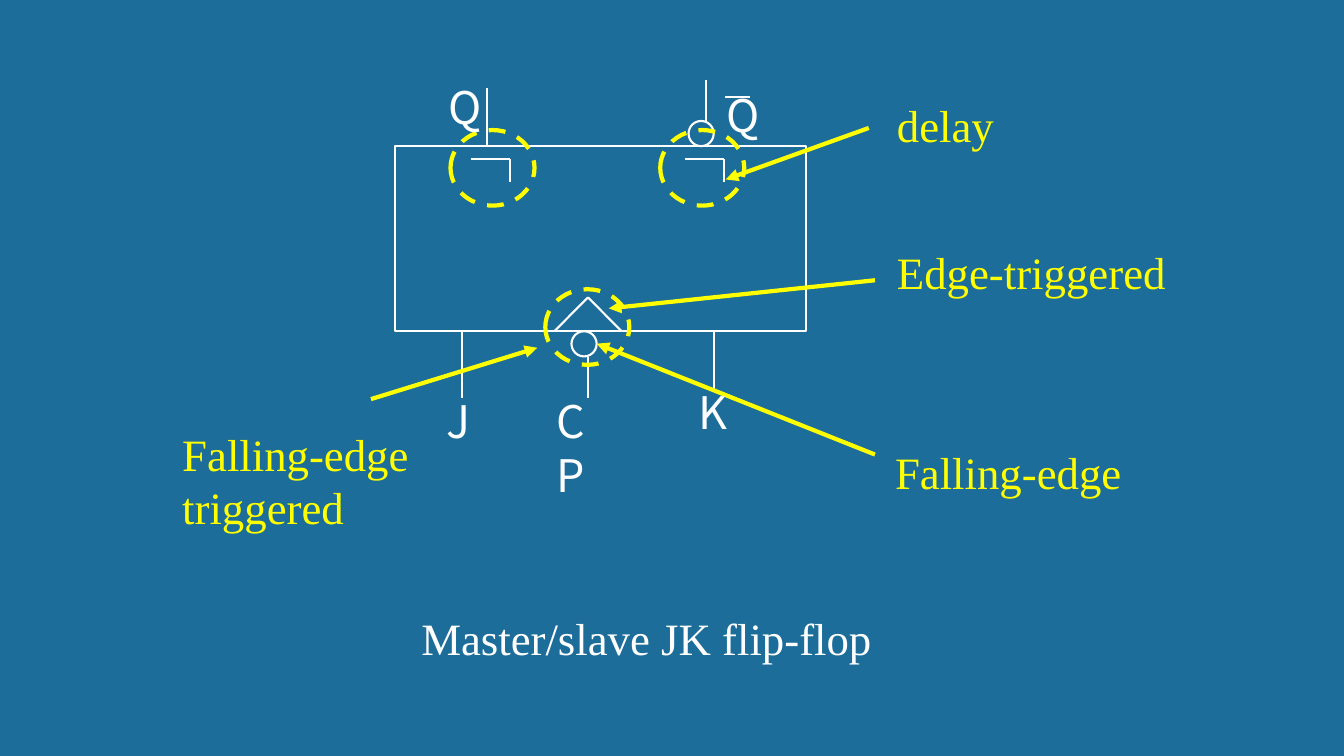
"""Draw the logic symbol of a master/slave JK flip-flop with its callouts."""
import pptx
import pptx.dml.color
import pptx.enum.dml
import pptx.enum.shapes
import pptx.util
from lxml import etree
from pptx.oxml.ns import qn

Pt = pptx.util.Pt
RGB = pptx.dml.color.RGBColor.from_string
KIND = pptx.enum.shapes.MSO_SHAPE
theme = {
    "back": RGB("1C6D9A"), "ink": RGB("FFFFFF"), "note": RGB("FFFF00"),
    "sans": "Noto Sans CJK SC", "serif": "Times New Roman",
    "size": Pt(32), "pitch": Pt(38.5), "inset": Pt(5.6),
    "thin": Pt(1.5), "thick": Pt(3),
}

deck = pptx.Presentation()
deck.slide_width, deck.slide_height = Pt(960), Pt(540)
slide = deck.slides.add_slide(deck.slide_layouts[6])
slide.background.fill.solid()
slide.background.fill.fore_color.rgb = theme["back"]


def outline(kind, box, color, width):
    shape = slide.shapes.add_shape(kind, *map(Pt, box))
    shape.shadow.inherit = False
    shape.fill.background()
    shape.line.color.rgb = color
    shape.line.width = width
    return shape


def wire(ends, color, width):
    line = slide.shapes.add_connector(
        pptx.enum.shapes.MSO_CONNECTOR.STRAIGHT, *map(Pt, ends))
    line.line.color.rgb = color
    line.line.width = width
    etree.SubElement(line._element.spPr, qn("a:effectLst"))
    return line


top, base = 104.4, 236.6
outline(KIND.RECTANGLE, (282, top, 294, base - top), theme["ink"], theme["thin"])

pins = [
    (330, base, 330, 284.4), (420, 254.9, 420, 284.4), (510, base, 510, 278.6),
    (348, top, 348, 62.6), (504, 86.4, 504, 56.9),
]
clock = [(396, base, 420, 212.4), (420, 212.4, 444, base)]
bar = [(517.7, 69.1, 535.7, 69.1)]
delays = []
for left in (336.2, 489.2):
    right = left + 28.2
    delays += [(left, 113.8, right, 113.8), (right, 113.8, right, 130.3)]
for ends in pins + clock + bar + delays:
    wire(ends, theme["ink"], theme["thin"])

for left, y in [(491.8, 86.4), (408.2, base)]:
    outline(KIND.OVAL, (left, y, 18, 18), theme["ink"], theme["thin"])

for left, y in [(471.6, 92.9), (321.8, 92.9), (389.5, 206.6)]:
    ring = outline(KIND.OVAL, (left, y, 60, 54), theme["note"], theme["thick"])
    ring.line.dash_style = pptx.enum.dml.MSO_LINE.DASH

for ends in [
    (620.6, 91.4, 518.4, 128.2), (625, 200.2, 434.9, 220.3),
    (625, 324.7, 426.2, 245.5), (265, 285.1, 383.8, 248.4),
]:
    arrow = wire(ends, theme["note"], theme["thick"])
    etree.SubElement(arrow.line._get_or_add_ln(), qn("a:tailEnd"), type="triangle")

for words, box, font, color in [
    ("J", (311.8, 275.8, 30.2, 45.4), "sans", "ink"),
    ("K", (491.8, 269.3, 30.2, 45.4), "sans", "ink"),
    ("CP", (390.2, 275.8, 46.8, 84), "sans", "ink"),
    ("Q", (313.2, 51.1, 30.2, 45.4), "sans", "ink"),
    ("Q", (511.9, 56.9, 30.2, 45.4), "sans", "ink"),
    ("Master/slave JK flip-flop", (293.8, 430.6, 339.8, 46), "serif", "ink"),
    ("delay", (633.6, 64.1, 155.5, 46), "serif", "note"),
    ("Edge-triggered", (633.6, 169.2, 257.8, 46), "serif", "note"),
    ("Falling-edge", (632.2, 311.8, 250.6, 46), "serif", "note"),
    ("Falling-edge triggered", (123.1, 298.8, 218.2, 85), "serif", "note"),
]:
    frame = slide.shapes.add_textbox(*map(Pt, box)).text_frame
    frame.word_wrap = True
    frame.margin_top = theme["inset"]
    frame.text = words
    para = frame.paragraphs[0]
    para.line_spacing = theme["pitch"]
    run = para.runs[0]
    run.font.name = theme[font]
    run.font.size = theme["size"]
    run.font.color.rgb = theme[color]

deck.save("out.pptx")
